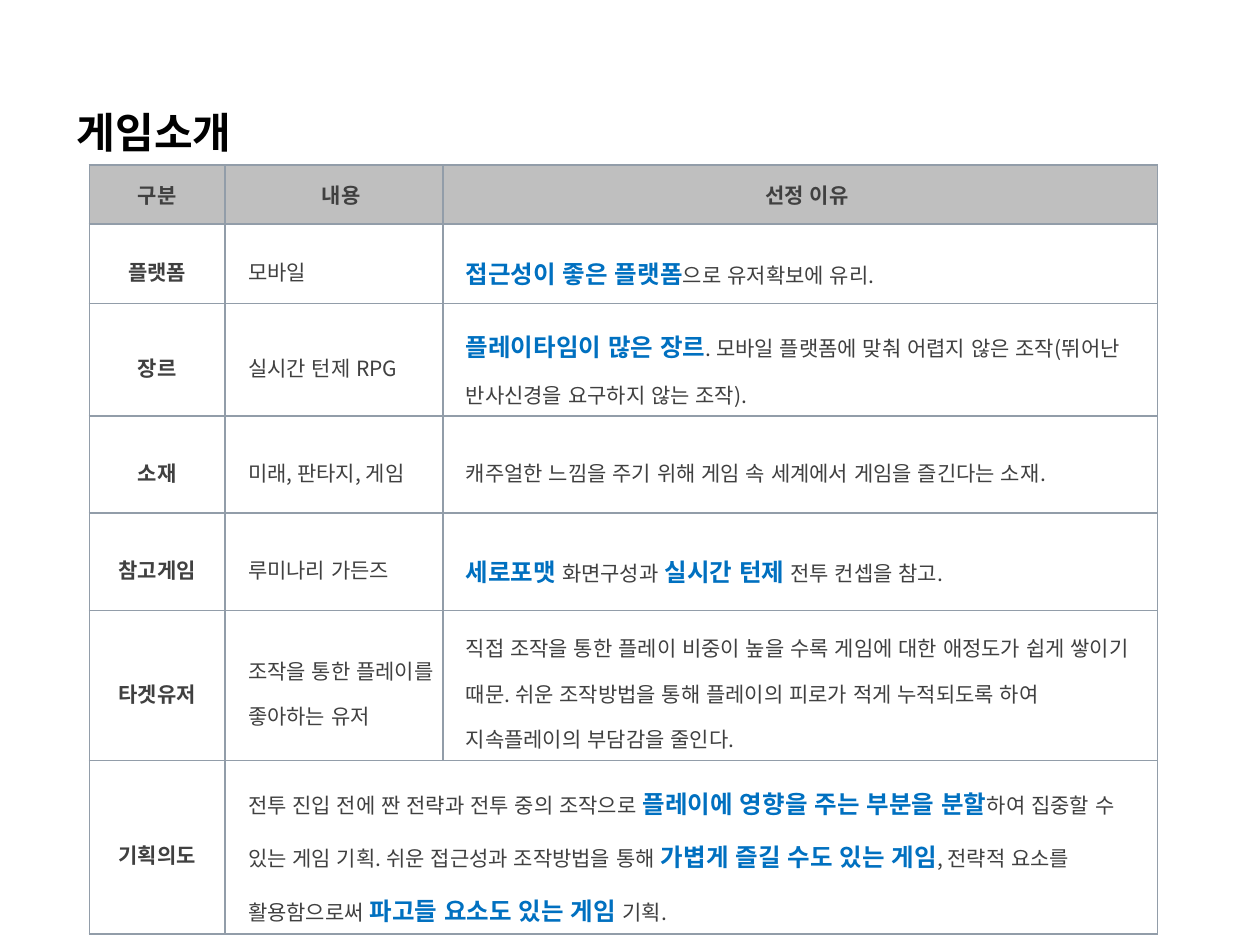
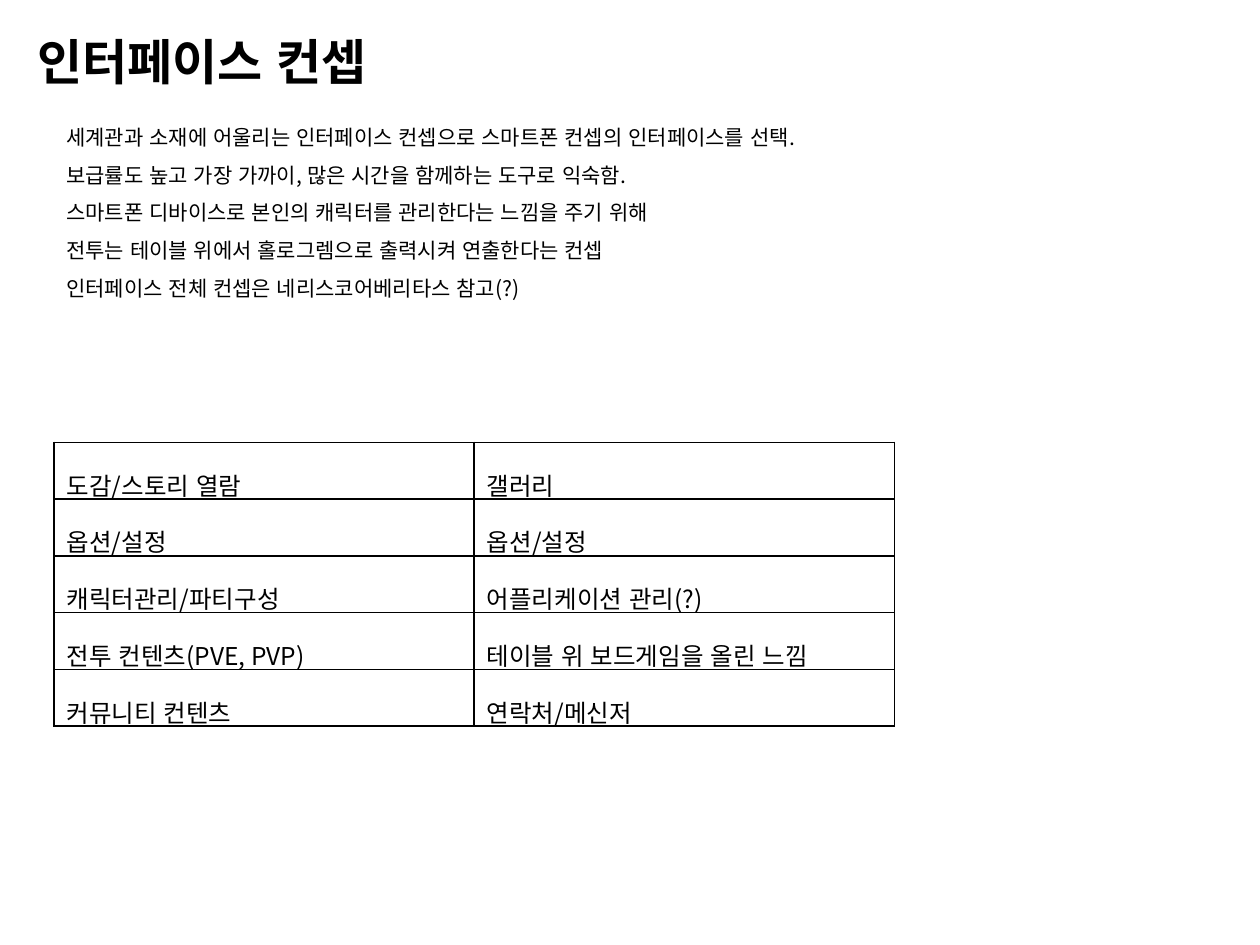
import pptx
import pptx.util
import pptx.dml.color
import pptx.enum.lang
import pptx.enum.text
import pptx.oxml
import pptx.oxml.ns
from dataclasses import dataclass

Cm, Pt = pptx.util.Cm, pptx.util.Pt
Align = pptx.enum.text.PP_ALIGN
Anchor = pptx.enum.text.MSO_ANCHOR

# Content: text between asterisks is emphasised
GAME = "게임소개"
HEAD = ["구분", "내용", "선정 이유"]
FACTS = [
    ("플랫폼", "모바일", "*접근성이 좋은 플랫폼*으로 유저확보에 유리."),
    ("장르", "실시간 턴제 RPG",
     "*플레이타임이 많은 장르*. 모바일 플랫폼에 맞춰 어렵지 않은 조작"
     "(뛰어난 반사신경을 요구하지 않는 조작)."),
    ("소재", "미래, 판타지, 게임",
     "캐주얼한 느낌을 주기 위해 게임 속 세계에서 게임을 즐긴다는 소재."),
    ("참고게임", "루미나리 가든즈",
     "*세로포맷* 화면구성과 *실시간 턴제* 전투 컨셉을 참고."),
    ("타겟유저", "조작을 통한 플레이를 좋아하는 유저",
     "직접 조작을 통한 플레이 비중이 높을 수록 게임에 대한 애정도가 쉽게 "
     "쌓이기 때문. 쉬운 조작방법을 통해 플레이의 피로가 적게 누적되도록 "
     "하여 지속플레이의 부담감을 줄인다."),
    ("기획의도",
     "전투 진입 전에 짠 전략과 전투 중의 조작으로 *플레이에 영향을 주는 "
     "부분을 분할*하여 집중할 수 있는 게임 기획. 쉬운 접근성과 조작방법을 "
     "통해 *가볍게 즐길 수도 있는 게임*, 전략적 요소를 활용함으로써 "
     "*파고들 요소도 있는 게임* 기획."),
]

SCREEN = "인터페이스 컨셉"
NOTES = [
    "세계관과 소재에 어울리는 인터페이스 컨셉으로 스마트폰 컨셉의 인터페이스를 선택.",
    "보급률도 높고 가장 가까이, 많은 시간을 함께하는 도구로 익숙함.",
    "스마트폰 디바이스로 본인의 캐릭터를 관리한다는 느낌을 주기 위해",
    "전투는 테이블 위에서 홀로그렘으로 출력시켜 연출한다는 컨셉",
    "인터페이스 전체 컨셉은 네리스코어베리타스 참고(?)",
]
MENU = [
    ("도감/스토리 열람", "갤러리"),
    ("옵션/설정", "옵션/설정"),
    ("캐릭터관리/파티구성", "어플리케이션 관리(?)"),
    ("전투 컨텐츠(PVE, PVP)", "테이블 위 보드게임을 올린 느낌"),
    ("커뮤니티 컨텐츠", "연락처/메신저"),
]


@dataclass(frozen=True)
class Theme:
    font: str = "Noto Sans CJK KR"
    black: str = "000000"
    gray: str = "404040"
    blue: str = "0070C0"
    head: str = "BFBFBF"
    rule: str = "929DA9"
    body: int = 12
    large: int = 14
    title: int = 24
    banner: int = 28
    lead: float = 1.5


T = Theme()


def rgb(code):
    return pptx.dml.color.RGBColor.from_string(code)


def write(frame, text, size=T.body, color=T.black, bold=False,
          align=Align.LEFT, lead=T.lead):
    """Fill a text frame, one paragraph a line."""
    for n, line in enumerate(text.split("\n")):
        para = frame.add_paragraph() if n else frame.paragraphs[0]
        para.alignment = align
        if lead:
            para.line_spacing = lead
        for k, part in enumerate(line.split("*")):
            if not part:
                continue
            run = para.add_run()
            run.text = part
            strong = k % 2 == 1
            font = run.font
            font.size = Pt(T.large if strong else size)
            font.bold = strong or bold
            font.color.rgb = rgb(T.blue if strong else color)
            font.name = T.font
            font.language_id = pptx.enum.lang.MSO_LANGUAGE_ID.KOREAN
            east = pptx.oxml.parse_xml(
                f'<a:ea {pptx.oxml.ns.nsdecls("a")} typeface="{T.font}"/>')
            run.font._element.append(east)


def box(slide, place, text, wrap=False, **style):
    shape = slide.shapes.add_textbox(*map(Cm, place))
    frame = shape.text_frame
    frame.word_wrap = wrap
    frame.auto_size = pptx.enum.text.MSO_AUTO_SIZE.SHAPE_TO_FIT_TEXT
    write(frame, text, **style)


def edge(cell, color):
    """Draw a 1 pt rule on all four sides of a cell."""
    props = cell._tc.get_or_add_tcPr()
    for n, side in enumerate("LRTB"):
        props.insert(n, pptx.oxml.parse_xml(
            f'<a:ln{side} {pptx.oxml.ns.nsdecls("a")} w="12700"><a:solidFill>'
            f'<a:srgbClr val="{color}"/></a:solidFill></a:ln{side}>'))


def grid(slide, left, top, cols, rows, color):
    """Add a plain ruled table with the given column and row sizes."""
    table = slide.shapes.add_table(
        len(rows), len(cols), Cm(left), Cm(top),
        Cm(sum(cols)), Cm(sum(rows))).table
    table.first_row = table.horz_banding = False
    for col, wide in zip(table.columns, cols):
        col.width = Cm(wide)
    for row, high in zip(table.rows, rows):
        row.height = Cm(high)
    for cell in table.iter_cells():
        cell.fill.background()
        edge(cell, color)
    return table


def intro(slide):
    table = grid(slide, 1.8, 3.33, [2.74, 4.39, 14.4],
                 [1.19, 1.6] + [1.96] * 3 + [2.11] * 2, T.rule)
    last = len(FACTS)
    table.cell(last, 1).merge(table.cell(last, 2))
    for r, row in enumerate([HEAD] + FACTS):
        for c, text in enumerate(row):
            cell = table.cell(r, c)
            cell.vertical_anchor = Anchor.MIDDLE
            cell.margin_left = Cm(0.46 if c else 0.18)
            cell.margin_right = Cm(0.18)
            cell.margin_top = cell.margin_bottom = Cm(0.13)
            label = r == 0 or c == 0
            if r == 0:
                cell.fill.solid()
                cell.fill.fore_color.rgb = rgb(T.head)
            write(cell.text_frame, text, color=T.gray, bold=label,
                  align=Align.CENTER if label else Align.LEFT,
                  lead=T.lead if r else None)
    box(slide, (1.3, 1.52, 4.95, 1.6), GAME, wrap=True,
        size=T.title, bold=True)


def concept(slide):
    table = grid(slide, 1.09, 8.92, [8.47] * 2, [1.14] + [1.04] * 4, T.black)
    for r, row in enumerate(MENU):
        for c, text in enumerate(row):
            write(table.cell(r, c).text_frame, text, size=T.large)
    box(slide, (0.51, -0.08, 7.85, 1.83), SCREEN, size=T.banner, bold=True)
    box(slide, (1.09, 2.13, 16.79, 4.11), "\n".join(NOTES))


def main():
    deck = pptx.Presentation()
    deck.slide_width, deck.slide_height = Cm(25.4), Cm(19.05)
    for draw in (intro, concept):
        draw(deck.slides.add_slide(deck.slide_layouts[6]))
    deck.save("out.pptx")


if __name__ == "__main__":
    main()
